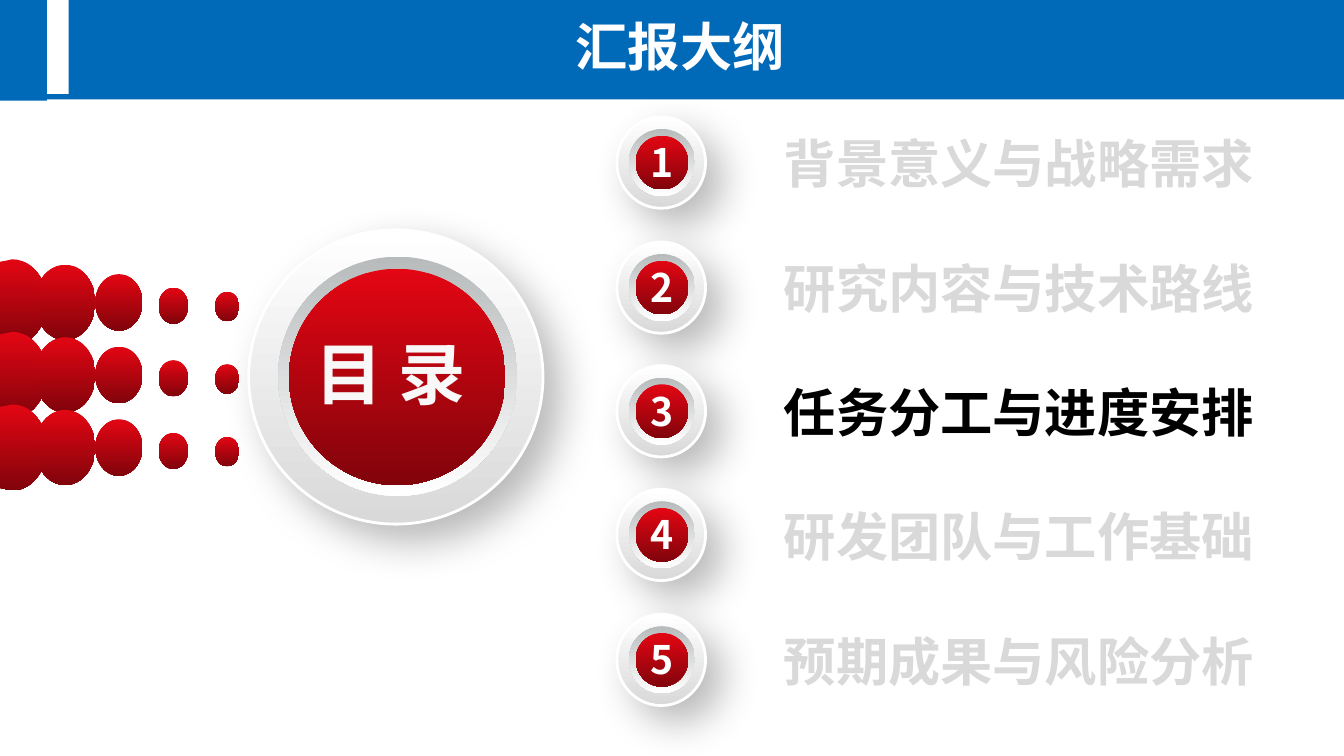
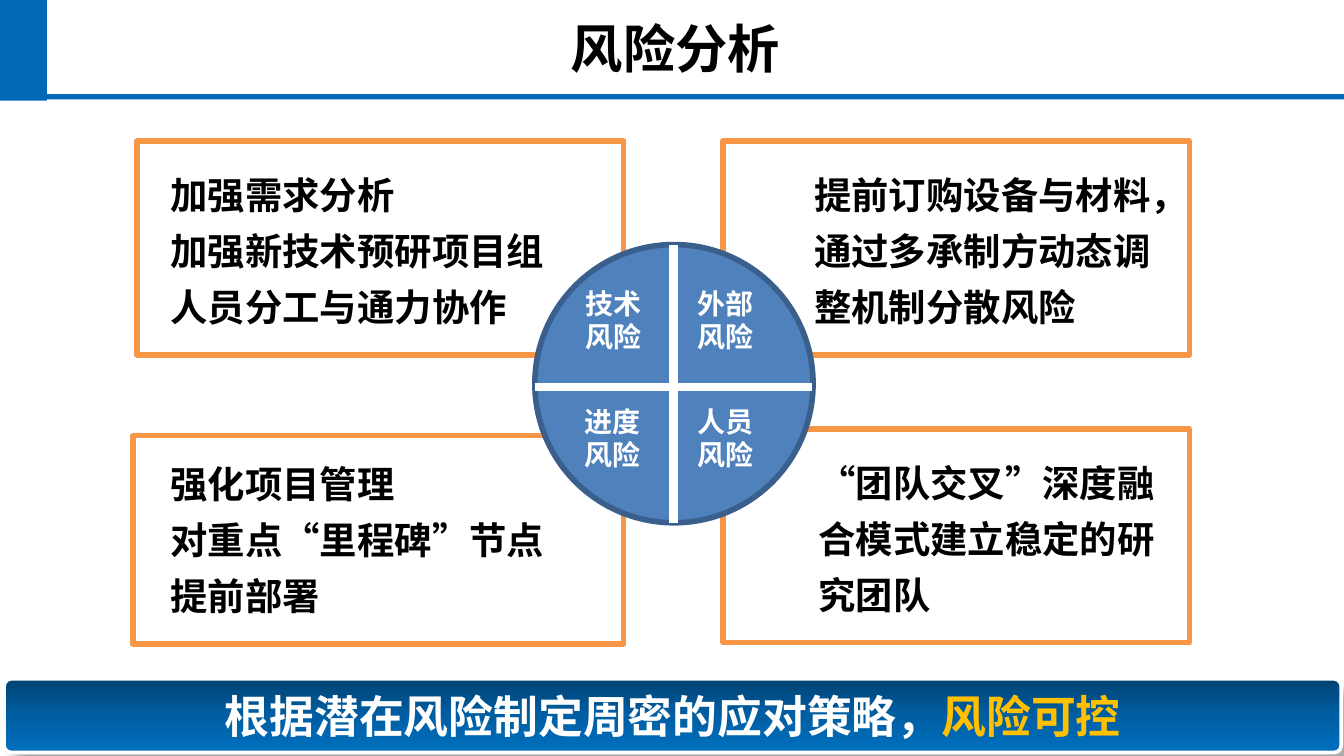
"""Build an outline slide and a risk analysis slide that share one header band."""
from math import cos, pi, sin

from lxml.etree import SubElement
from pptx import Presentation
from pptx.dml.color import RGBColor
from pptx.enum.shapes import MSO_CONNECTOR as Connector, MSO_SHAPE as Kind
from pptx.enum.text import MSO_ANCHOR as Anchor, MSO_AUTO_SIZE as AutoSize, PP_ALIGN as Align
from pptx.oxml.ns import qn
from pptx.util import Pt

PX = 9144
CJK = "Noto Sans CJK SC"
COLORS = {
    "blue": "0069B8", "white": "FFFFFF", "black": "000000", "soft": "F8F8F8",
    "pale": "D9D9D9", "groove": "B8BBBC", "red": "E30613",
    "wine": "81040B", "orange": "F79646", "disc": "4F81BD", "disc_edge": "3A5F8C",
    "navy": "004272", "mid_blue": "005EA2", "bright": "0070C0", "gold": "FFC000",
}
BALL = ("red", "wine")
RING = ("white", "pale")
GROOVE = ("groove", "white")
RING_SHADOW = (28, 22, 12, 45)


def draw(page, kind, place, fill=None, line=None, weight=1.5, shadow=None, round_by=None):
    """Add a preset shape, a text box (kind None) or a polygon (kind a point list)."""
    if kind is None:
        return page.shapes.add_textbox(*[v * PX for v in place])
    if isinstance(kind, list):
        points = [(x * PX, y * PX) for x, y in kind]
        builder = page.shapes.build_freeform(*points[0])
        builder.add_line_segments(points[1:], close=True)
        shape = builder.convert_to_shape()
    else:
        shape = page.shapes.add_shape(kind, *[v * PX for v in place])
    if round_by is not None:
        shape.adjustments[0] = round_by
    if isinstance(fill, tuple):
        shape.fill.gradient()
        shape.fill.gradient_angle = 270
        stops = shape.element.spPr.find(".//" + qn("a:gsLst"))
        for stop in list(stops):
            stops.remove(stop)
        for order, name in enumerate(fill):
            stop = SubElement(stops, qn("a:gs"), pos=str(100000 * order // (len(fill) - 1)))
            SubElement(stop, qn("a:srgbClr"), val=COLORS[name])
    else:
        shape.fill.solid()
        shape.fill.fore_color.rgb = RGBColor.from_string(COLORS[fill])
    if line:
        shape.line.color.rgb = RGBColor.from_string(COLORS[line])
        shape.line.width = Pt(weight)
    else:
        shape.line.fill.background()
    shape.shadow.inherit = False
    if shadow:
        alpha, blur, distance, angle = shadow
        effects = shape.element.spPr.find(qn("a:effectLst"))
        outer = SubElement(effects, qn("a:outerShdw"), blurRad=str(Pt(blur)), dist=str(Pt(distance)),
                           dir=str(angle * 60000), algn="tl", rotWithShape="0")
        tone = SubElement(outer, qn("a:srgbClr"), val=COLORS["black"])
        SubElement(tone, qn("a:alpha"), val=str(alpha * 1000))
    return shape


def write(box, text, size=20, color="black", font=CJK, align=Align.LEFT, wrap=True,
          grow=True, inset=None, spacing=None, accent=None):
    """Fill a box with bold text, one paragraph a line; accent adds a gold ending."""
    frame = box.text_frame
    frame.word_wrap = wrap
    frame.auto_size = AutoSize.SHAPE_TO_FIT_TEXT if grow else AutoSize.NONE
    frame.vertical_anchor = Anchor.TOP if grow else Anchor.MIDDLE
    if inset is not None:
        frame.margin_left = frame.margin_right = frame.margin_top = frame.margin_bottom = inset
    for order, words in enumerate(text.split("\n")):
        para = frame.add_paragraph() if order else frame.paragraphs[0]
        para.alignment = align
        if spacing:
            para.line_spacing = spacing
        for part, tone in ((words, color), (accent, "gold")):
            if part:
                span = para.add_run()
                span.text = part
                span.font.size = Pt(size)
                span.font.bold = True
                span.font.name = font
                span.font.color.rgb = RGBColor.from_string(COLORS[tone])
                SubElement(span.font._element, qn("a:ea"), typeface=CJK)


deck = Presentation()
deck.slide_width, deck.slide_height = 1000 * PX, 1125 * PX // 2
outline, risks = [deck.slides.add_slide(deck.slide_layouts[6]) for _ in range(2)]
for page in (outline, risks):
    draw(page, Kind.RECTANGLE, (0, 0, 35, 75), "blue")
    draw(page, Kind.RECTANGLE, (0, 70, 1001, 4), "blue")

for row in range(3):
    drop = round(53.75 * row)
    arc = [(9 + 26 * sin(pi * step / 24), drop + 225 + 32 * cos(pi * step / 24)) for step in range(25)]
    draw(outline, [(0, drop + 195), (0, drop + 255)] + arc, None, BALL)
    for left, top, width, height in ((26, 197, 45, 56), (71, 204, 35, 42),
                                     (118, 214, 22, 27), (160, 217, 18, 22)):
        draw(outline, Kind.OVAL, (left, top + drop, width, height), BALL)

draw(outline, Kind.OVAL, (185, 171, 219, 219), RING, "white", shadow=RING_SHADOW)
draw(outline, Kind.ROUNDED_RECTANGLE, (207, 191, 178, 178), GROOVE, round_by=0.5)
draw(outline, Kind.OVAL, (215, 200, 161, 161), BALL)
write(draw(outline, None, (225, 242, 134, 71)), "目 录", size=36, color="soft", font="Arial", wrap=False)

chapters = ["背景意义与战略需求", "研究内容与技术路线", "任务分工与进度安排",
            "研发团队与工作基础", "预期成果与风险分析"]
current = 2
for row, chapter in enumerate(chapters):
    top = round(87 + 92.5 * row)
    draw(outline, Kind.OVAL, (459, top, 66, 68), RING, "white", shadow=RING_SHADOW)
    draw(outline, Kind.ROUNDED_RECTANGLE, (468, top + 9, 49, 50), GROOVE, round_by=0.5)
    draw(outline, Kind.OVAL, (473, top + 14, 39, 40), BALL)
    write(draw(outline, None, (484, top + 16, 24, 35)), str(row + 1), size=21, color="white", inset=0)
    write(draw(outline, None, (573, top + 6, 370, 57)), chapter, size=28, font="Arial",
          color="black" if row == current else "pale", align=Align.CENTER, wrap=False)

draw(outline, Kind.RECTANGLE, (51, 0, 949, 71), "blue")
write(draw(outline, None, (12, 6, 988, 57)), "汇报大纲", size=28, color="white", font="Arial",
      align=Align.CENTER)

banner = draw(risks, Kind.ROUNDED_RECTANGLE, (3, 505, 995, 55), ("navy", "mid_blue", "bright"),
              "white", 2, (32, 7, 10, 50), 0.1)
write(banner, "根据潜在风险制定周密的应对策略，", size=24, color="white", align=Align.CENTER,
      grow=False, accent="风险可控")
for place in ((99, 324, 365, 155), (538, 319, 347, 159), (538, 105, 347, 159), (102, 105, 362, 159)):
    draw(risks, Kind.RECTANGLE, place, "white", "orange", 3)

draw(risks, Kind.OVAL, (398, 182, 207, 207), "disc", "disc_edge", 3)
for ends in ((398, 288, 604, 288), (501, 182, 501, 389)):
    divider = risks.shapes.add_connector(Connector.STRAIGHT, *[v * PX for v in ends])
    divider.line.color.rgb = RGBColor.from_string(COLORS["white"])
    divider.line.width = Pt(4.5)
    SubElement(divider.element.spPr, qn("a:effectLst"))

for left, top, topic in ((426, 208, "技术"), (509, 208, "外部"), (425, 296, "进度"), (509, 296, "人员")):
    write(draw(risks, None, (left, top, 70, 71)), topic + "\n风险", size=15, color="white", wrap=False)

measures = [
    ((117, 115, 313, 136), "加强需求分析\n加强新技术预研项目组人员分工与通力协作"),
    ((596, 115, 280, 136), "提前订购设备与材料，通过多承制方动态调整机制分散风险"),
    ((117, 330, 304, 136), "强化项目管理\n对重点“里程碑”节点提前部署"),
    ((599, 329, 284, 136), "“团队交叉”深度融合模式建立稳定的研究团队"),
]
for place, measure in measures:
    write(draw(risks, None, place), measure, spacing=1.25)

write(draw(risks, None, (414, 7, 177, 57)), "风险分析", size=28, font="Arial", align=Align.CENTER,
      wrap=False)

deck.save("out.pptx")
